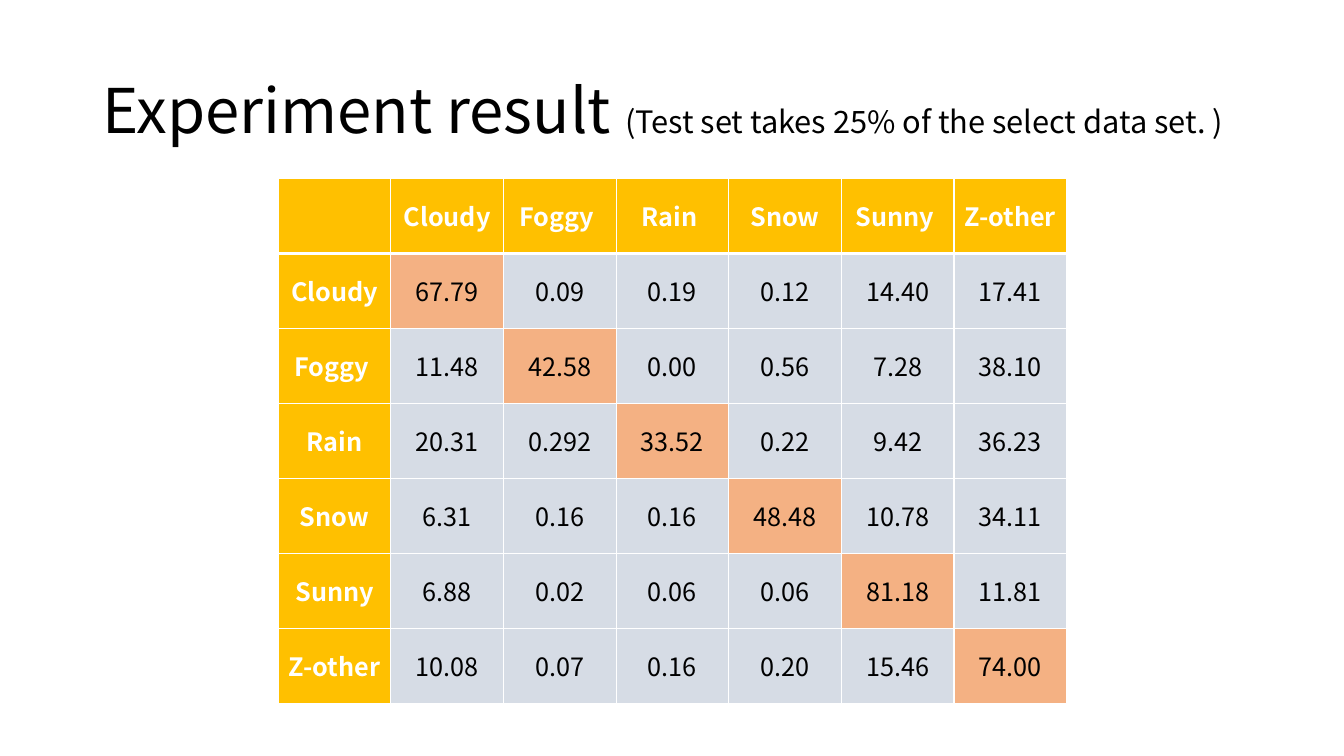
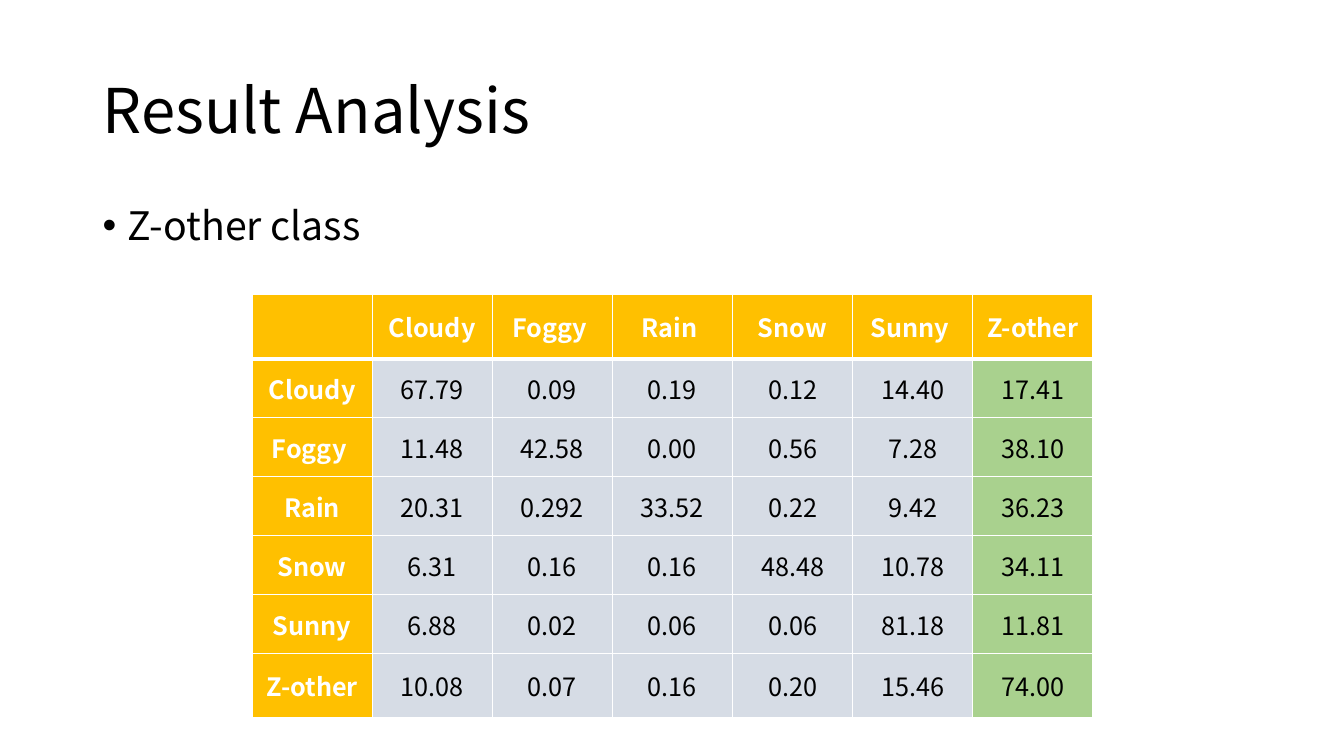
import pptx
import pptx.dml.color
import pptx.enum.text
import pptx.oxml
import pptx.oxml.ns
import pptx.util

Inches = pptx.util.Inches
Pt = pptx.util.Pt
MIDDLE = pptx.enum.text.MSO_ANCHOR.MIDDLE
CENTER = pptx.enum.text.PP_ALIGN.CENTER

FONT = "Noto Sans CJK SC"
BLACK, WHITE = "000000", "FFFFFF"
GOLD, GREY, ORANGE, GREEN = "FFC000", "D6DCE5", "F4B183", "A9D18E"

HEADER = ["", "Cloudy", "Foggy ", "Rain ", "Snow", "Sunny ", "Z-other"]
ROWS = [
    ["Cloudy", "67.79", "0.09", "0.19", "0.12", "14.40", "17.41"],
    ["Foggy ", "11.48", "42.58", "0.00", "0.56", "7.28", "38.10"],
    ["Rain", "20.31", "0.292", "33.52", "0.22", "9.42", "36.23"],
    ["Snow", "6.31", "0.16", "0.16", "48.48", "10.78", "34.11"],
    ["Sunny", "6.88", "0.02", "0.06", "0.06", "81.18", "11.81"],
    ["Z-other", "10.08", "0.07", "0.16", "0.20", "15.46", "74.00"],
]
GRID = [HEADER] + ROWS
N = len(HEADER)
DIAGONAL = {(i, i) for i in range(1, N)}
LAST_COLUMN = {(i, N - 1) for i in range(1, N)}

SLIDES = [
    {
        "title": [("Experiment result ", 44),
                  ("(Test set takes 25% of the select data set. )", 22)],
        "bullet": None,
        "box": (2.76, 1.77, 7.82, 5.21),
        "heights": [5.21 / N] * N,
        "marked": DIAGONAL,
        "mark": ORANGE,
    },
    {
        "title": [("Result Analysis", 44)],
        "bullet": "Z-other class",
        "box": (2.5, 2.92, 8.34, 4.2),
        "heights": [0.64] + [0.585] * (N - 2) + [0.64],
        "marked": LAST_COLUMN,
        "mark": GREEN,
    },
]


def color(fmt, value):
    fmt.rgb = pptx.dml.color.RGBColor.from_string(value)


def add_run(p, text, size, value, bold=False):
    r = p.add_run()
    r.text = text
    r.font.name = FONT
    r.font.size = Pt(size)
    r.font.bold = bold
    color(r.font.color, value)


prs = pptx.Presentation()
prs.slide_width = Inches(13.33)
prs.slide_height = Inches(7.5)

for spec_slide in SLIDES:
    s = prs.slides.add_slide(prs.slide_layouts[6])

    sp = s.shapes.add_textbox(Inches(0.92), Inches(0.4), Inches(11.5), Inches(1.45))
    tf = sp.text_frame
    tf.word_wrap = True
    tf.vertical_anchor = MIDDLE
    p = tf.paragraphs[0]
    p.line_spacing = 0.9
    for text, size in spec_slide["title"]:
        add_run(p, text, size, BLACK)

    if spec_slide["bullet"]:
        sp = s.shapes.add_textbox(Inches(0.92), Inches(2), Inches(11.5), Inches(4.76))
        tf = sp.text_frame
        tf.word_wrap = True
        p = tf.paragraphs[0]
        p.line_spacing = 0.9
        p.space_before = Pt(10)
        pPr = p._p.get_or_add_pPr()
        pPr.set("marL", str(Inches(0.25)))
        pPr.set("indent", str(Inches(-0.25)))
        ns = pptx.oxml.ns.nsdecls("a")
        pPr.append(pptx.oxml.parse_xml(f'<a:buFont {ns} typeface="Arial"/>'))
        pPr.append(pptx.oxml.parse_xml(f'<a:buChar {ns} char="•"/>'))
        add_run(p, spec_slide["bullet"], 28, BLACK)

    left, top, width, height = spec_slide["box"]
    table = s.shapes.add_table(N, N, Inches(left), Inches(top),
                               Inches(width), Inches(height)).table
    table.horz_banding = False
    for column in table.columns:
        column.width = Inches(width / N)
    for row, row_height in zip(table.rows, spec_slide["heights"]):
        row.height = Inches(row_height)

    for i, texts in enumerate(GRID):
        for j, text in enumerate(texts):
            cell = table.cell(i, j)
            heading = i == 0 or j == 0
            cell.vertical_anchor = MIDDLE
            cell.margin_left = cell.margin_right = Inches(0.05)
            tcPr = cell._tc.get_or_add_tcPr()
            borders = {"L": 1, "R": 1, "T": 3 if i == 1 else 1, "B": 3 if i == 0 else 1}
            for side, weight in borders.items():
                tcPr.append(pptx.oxml.parse_xml(
                    f'<a:ln{side} {pptx.oxml.ns.nsdecls("a")} w="{Pt(weight)}">'
                    f'<a:solidFill><a:srgbClr val="{WHITE}"/></a:solidFill></a:ln{side}>'))
            fill = GOLD if heading else GREY
            if (i, j) in spec_slide["marked"]:
                fill = spec_slide["mark"]
            cell.fill.solid()
            color(cell.fill.fore_color, fill)
            p = cell.text_frame.paragraphs[0]
            p.alignment = CENTER
            if text:
                add_run(p, text, 18, WHITE if heading else BLACK, heading)

prs.save("out.pptx")
